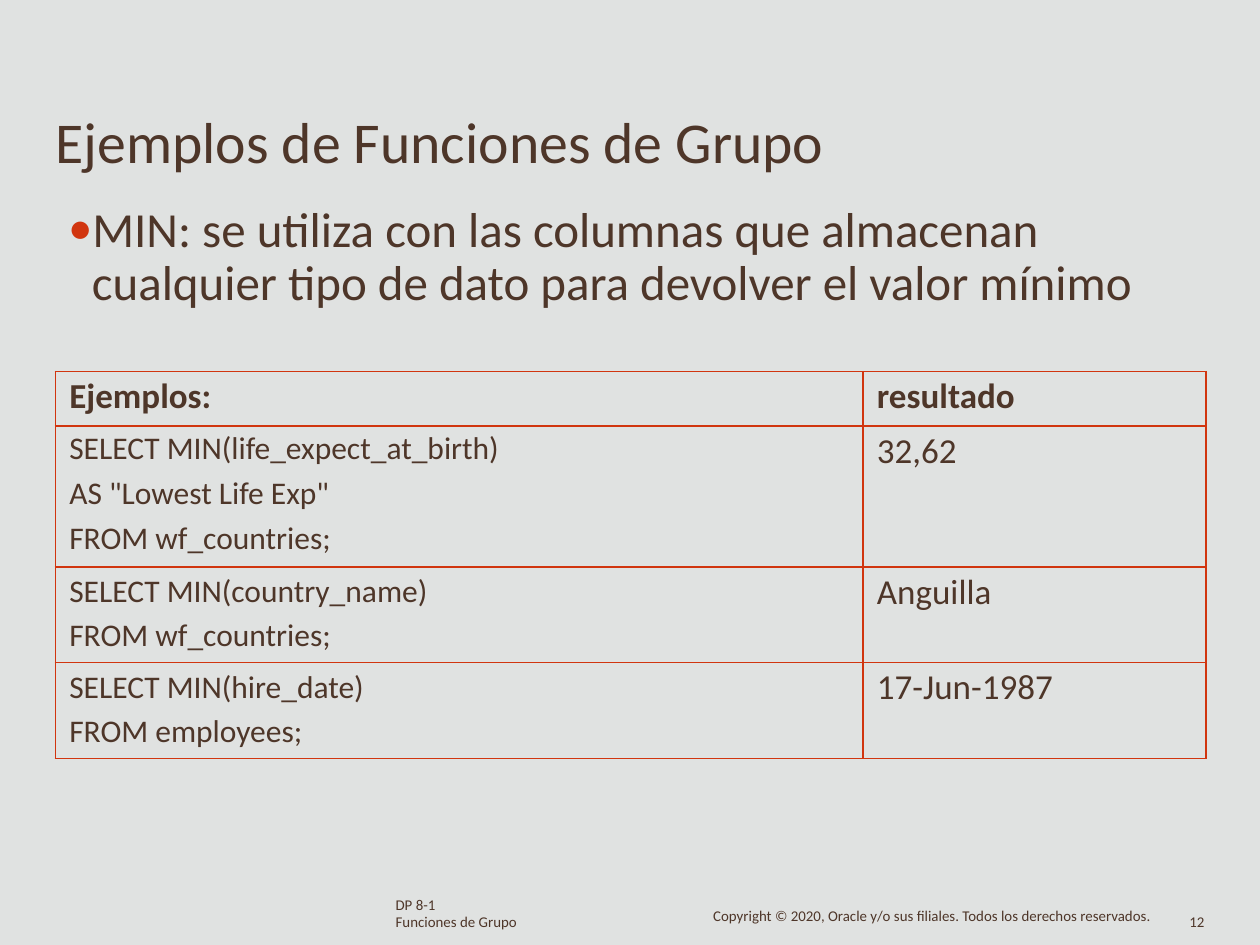
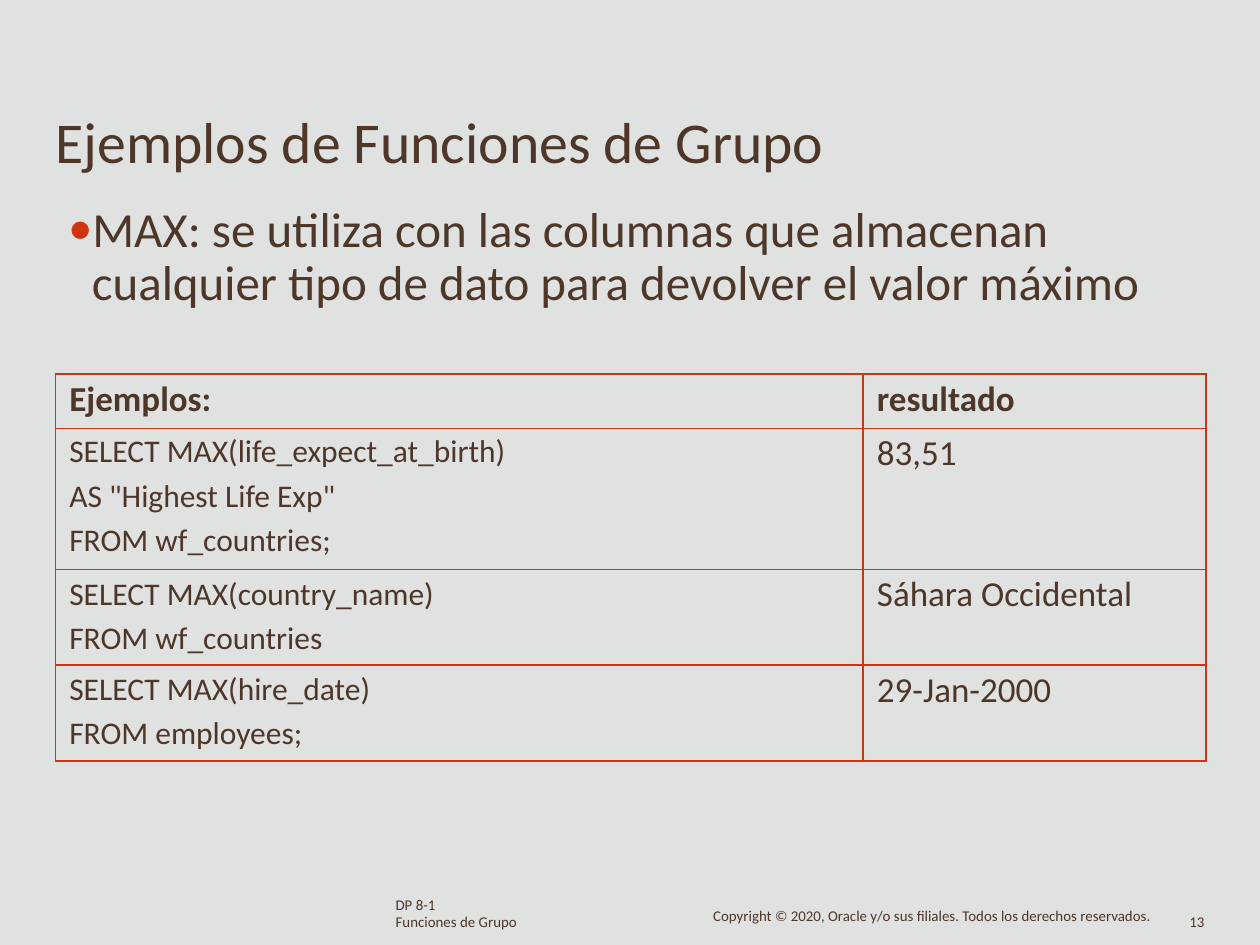
from dataclasses import dataclass

from lxml.etree import SubElement as Sub
from pptx import Presentation
from pptx.dml.color import RGBColor as Rgb
from pptx.enum.text import MSO_ANCHOR as Anchor
from pptx.enum.text import MSO_AUTO_SIZE as Fit
from pptx.enum.text import PP_ALIGN as Align
from pptx.oxml.ns import qn
from pptx.util import Inches, Pt


@dataclass(frozen=True)
class Theme:
    back: str = "E0E2E1"
    ink: str = "4E3629"
    red: str = "D1350F"
    font: str = "Calibri"
    title: float = 33
    body: float = 28
    head: float = 20
    code: float = 18
    foot: float = 8.5
    rule: float = 1


THEME = Theme()
COLS, ROWS = 100, 75
TITLE = "Ejemplos de Funciones de Grupo"
COPY = "Copyright © 2020, Oracle y/o sus filiales. Todos los derechos reservados."

SLIDES = [
    (12, "MIN: se utiliza con las columnas que almacenan cualquier tipo de dato "
         "para devolver el valor mínimo", 29.5, [
        (["SELECT MIN(life_expect_at_birth)", 'AS "Lowest Life Exp"',
          "FROM wf_countries;"], "32,62"),
        (["SELECT MIN(country_name)", "FROM wf_countries;"], "Anguilla"),
        (["SELECT MIN(hire_date)", "FROM employees;"], "17-Jun-1987"),
    ]),
    (13, "MAX: se utiliza con las columnas que almacenan cualquier tipo de dato "
         "para devolver el valor máximo", 29.7, [
        (["SELECT MAX(life_expect_at_birth)", 'AS "Highest Life Exp"',
          "FROM wf_countries;"], "83,51"),
        (["SELECT MAX(country_name)", "FROM wf_countries"], "Sáhara Occidental"),
        (["SELECT MAX(hire_date)", "FROM employees;"], "29-Jan-2000"),
    ]),
]


def unit(count):
    return Inches(count / 10)


def style(para, size, bold=False):
    font = para.font
    font.name, font.size, font.bold = THEME.font, Pt(size), bold
    font.color.rgb = Rgb.from_string(THEME.ink)
    para.alignment = Align.LEFT


def fill(frame, lines, size, leads=(), bold=False):
    frame.text = "\n".join(lines)
    for para in frame.paragraphs:
        style(para, size, bold)
        para.space_before = Pt(0)
    for para, lead in zip(frame.paragraphs, leads):
        if lead:
            para.line_spacing = Pt(lead)


def place(shape, left, top, wide, high, inset=0):
    shape.left, shape.top = unit(left), unit(top)
    shape.width, shape.height = unit(wide), unit(high)
    frame = shape.text_frame
    frame.margin_left = frame.margin_right = frame.margin_bottom = 0
    frame.margin_top = unit(inset)
    frame.word_wrap = True
    frame.auto_size = Fit.NONE
    frame.vertical_anchor = Anchor.TOP
    return frame


def note(slide, spot, lines, leads=(), inset=0):
    box = slide.shapes.add_textbox(0, 0, 0, 0)
    fill(place(box, *spot, inset), lines, THEME.foot, leads)


def tint(parent, color):
    Sub(parent, qn("a:srgbClr"), val=color)


def bullet(para):
    props = para._p.get_or_add_pPr()
    props.set("marL", str(unit(2)))
    props.set("indent", str(unit(-1.9)))
    tint(Sub(props, qn("a:buClr")), THEME.red)
    Sub(props, qn("a:buFont"), typeface=THEME.font)
    Sub(props, qn("a:buChar"), char="•")


def lead_in(slide, text):
    frame = place(slide.placeholders[1], 5.3, 15.5, 86, 9.1, 0.7)
    frame.text = text
    bullet(frame.paragraphs[0])
    fill_para = frame.paragraphs[0]
    style(fill_para, THEME.body)
    fill_para.space_before = Pt(0)
    fill_para.line_spacing = Pt(30.3)


def edge(cell):
    props = cell._tc.get_or_add_tcPr()
    for side in "LRTB":
        line = Sub(props, qn(f"a:ln{side}"), w=str(Pt(THEME.rule)))
        tint(Sub(line, qn("a:solidFill")), THEME.red)


def write(cell, lines, size, leads=(), bold=False, inset=0.3):
    edge(cell)
    cell.fill.background()
    cell.margin_left, cell.margin_top = unit(1.1), unit(inset)
    cell.margin_right = cell.margin_bottom = 0
    cell.vertical_anchor = Anchor.TOP
    fill(cell.text_frame, lines, size, leads, bold)


def grid(slide, top, rows):
    wide, high = (64.1, 27.2), (4.3, 11.2, 7.6, 7.6)
    table = slide.shapes.add_table(
        len(high), len(wide), unit(4.4), unit(top),
        unit(sum(wide)), unit(sum(high))).table
    table.first_row = table.horz_banding = False
    for col, size in zip(table.columns, wide):
        col.width = unit(size)
    for row, size in zip(table.rows, high):
        row.height = unit(size)
    for col, text in enumerate(("Ejemplos:", "resultado")):
        write(table.cell(0, col), [text], THEME.head, bold=True)
    for row, (code, value) in enumerate(rows, 1):
        tall = len(code) == 3
        leads = (None, 25.2, 25.2) if tall else (25.2, 25.2)
        cell = table.cell(row, 0)
        write(cell, code, THEME.code, leads, inset=0.3 if tall else 0)
        if tall:
            cell.text_frame.paragraphs[1].space_before = Pt(0.7)
        write(table.cell(row, 1), [value], THEME.head)


def footer(slide, number):
    note(slide, (31.4, 71.3, 12, 2.7), ["DP 8-1", "Funciones de Grupo"], (8.6, 9.7))
    note(slide, (56.6, 72.1, 36, 1.5), [COPY], (9.1,))
    note(slide, (94.4, 72.1, 2.5, 2), [str(number)], inset=0.3)


def build(deck, number, text, top, rows):
    slide = deck.slides.add_slide(deck.slide_layouts[1])
    fill(place(slide.shapes.title, 4.4, 8.2, 69.2, 5.8, 0.2), [TITLE], THEME.title)
    footer(slide, number)
    lead_in(slide, text)
    grid(slide, top, rows)


def main():
    deck = Presentation()
    deck.slide_width, deck.slide_height = unit(COLS), unit(ROWS)
    back = deck.slide_master.background.fill
    back.solid()
    back.fore_color.rgb = Rgb.from_string(THEME.back)
    for data in SLIDES:
        build(deck, *data)
    deck.save("out.pptx")


if __name__ == "__main__":
    main()
